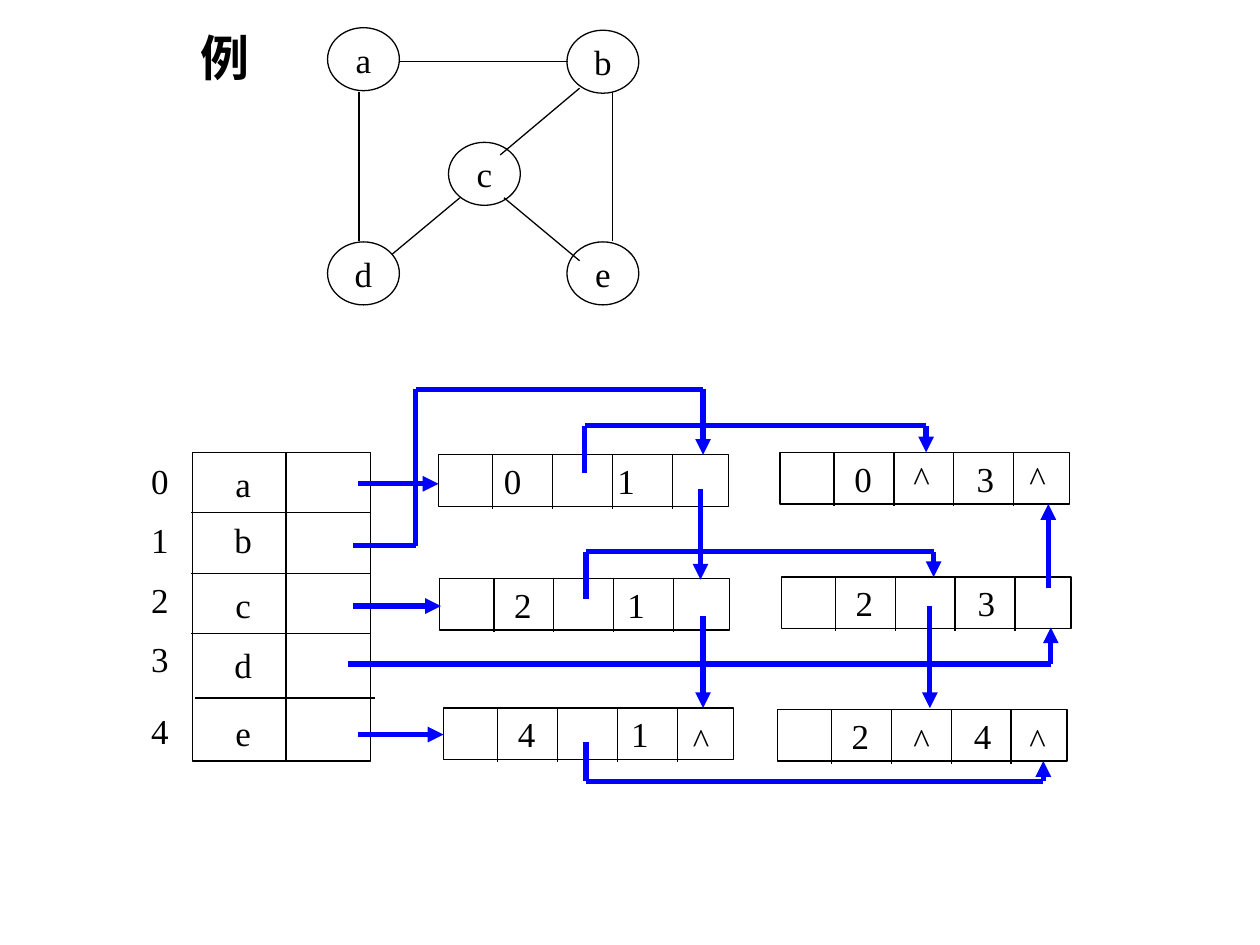
from dataclasses import dataclass
from itertools import pairwise

from lxml import etree
from pptx import Presentation
from pptx.dml.color import RGBColor
from pptx.enum import shapes, text
from pptx.oxml.ns import qn
from pptx.util import Inches, Pt


@dataclass(frozen=True)
class Theme:
    font: str = "Times New Roman"
    ink: RGBColor = RGBColor(0, 0, 0)
    link: RGBColor = RGBColor(0, 0, 255)
    head: int = 28
    body: int = 20
    thin: float = 0.75
    thick: float = 3


THEME = Theme()

# Graph: top left corner of each vertex, then the ends of each edge
RING = {"a": (2.6, 0.22), "b": (4.5, 0.24), "c": (3.56, 1.13),
        "d": (2.6, 1.92), "e": (4.5, 1.92)}
EDGES = [
    ((3.17, 0.49), (4.51, 0.49)),
    ((2.85, 0.73), (2.85, 1.91)),
    ((4.86, 0.73), (4.86, 1.91)),
    ((4, 1.57), (4.6, 2.07)),
    ((4.6, 0.7), (3.97, 1.23)),
    ((3.65, 1.57), (3.11, 2.02)),
]

# Vertex list: name, top of the index, top of the name
ROWS = [("a", 3.59, 3.62), ("b", 4.06, 4.06), ("c", 4.54, 4.58),
        ("d", 5.01, 5.05), ("e", 5.58, 5.59)]

# Edge nodes: left, top, the two vertex numbers, text inset, tab stop
NODES = [
    (3.48, 3.61, "0\t1", 0.52, 0.9),
    (6.19, 3.59, "0\t3", 0.59, 0.97),
    (6.2, 4.58, "2\t3", 0.59, 0.97),
    (3.49, 4.59, "2\t1", 0.59, 0.9),
    (6.17, 5.63, "2\t4", 0.59, 0.97),
    (3.52, 5.62, "4\t1", 0.59, 0.9),
]
ENDS = [(7.15, 3.57), (8.07, 3.57), (5.4, 5.65), (7.15, 5.65), (8.07, 5.65)]

# Pointers: corners of each path, with the arrowhead at its last point
PATHS = [
    [(2.84, 3.84), (3.48, 3.84)],
    [(2.8, 4.81), (3.5, 4.81)],
    [(2.84, 5.83), (3.52, 5.83)],
    [(4.64, 3.75), (4.64, 3.38), (7.35, 3.38), (7.35, 3.59)],
    [(2.8, 4.33), (3.3, 4.33), (3.3, 3.09), (5.58, 3.09), (5.58, 3.61)],
    [(5.56, 3.88), (5.56, 4.6)],
    [(5.58, 4.89), (5.58, 5.62)],
    [(4.65, 4.75), (4.65, 4.38), (7.41, 4.38), (7.41, 4.58)],
    [(7.38, 4.81), (7.38, 5.62)],
    [(2.76, 5.27), (8.34, 5.27), (8.34, 4.98)],
    [(8.32, 4.67), (8.32, 4)],
    [(4.65, 5.89), (4.65, 6.2), (8.28, 6.2), (8.28, 6.04)],
]


def write(shape, words, size=THEME.body, bold=False,
          align=text.PP_ALIGN.CENTER):
    frame = shape.text_frame
    frame.text = words
    frame.word_wrap = False
    frame.vertical_anchor = text.MSO_ANCHOR.MIDDLE
    para = frame.paragraphs[0]
    para.alignment = align
    for run in para.runs:
        run.font.name = THEME.font
        run.font.size = Pt(size)
        run.font.bold = bold
        run.font.color.rgb = THEME.ink
    return para


def title(slide, words, left, top, width, height):
    shape = slide.shapes.title
    shape.left, shape.top = Inches(left), Inches(top)
    shape.width, shape.height = Inches(width), Inches(height)
    write(shape, words, THEME.head, True)
    shape.text_frame.auto_size = text.MSO_AUTO_SIZE.NONE


def label(slide, words, left, top, width=0.34):
    box = slide.shapes.add_textbox(
        Inches(left), Inches(top), Inches(width), Inches(0.44))
    write(box, words)


def frame(slide, kind, left, top, width, height):
    shape = slide.shapes.add_shape(
        kind, Inches(left), Inches(top), Inches(width), Inches(height))
    shape.shadow.inherit = False
    shape.fill.background()
    shape.line.color.rgb = THEME.ink
    shape.line.width = Pt(THEME.thin)
    return shape


def line(slide, start, end, color=THEME.ink, width=THEME.thin, arrow=False):
    wire = slide.shapes.add_connector(
        shapes.MSO_CONNECTOR.STRAIGHT, *map(Inches, start + end))
    wire.line.color.rgb = color
    wire.line.width = Pt(width)
    props = wire.element.spPr
    if arrow:
        etree.SubElement(props.find(qn("a:ln")), qn("a:tailEnd"),
                         type="triangle")
    etree.SubElement(props, qn("a:effectLst"))


def path(slide, points):
    for start, end in pairwise(points):
        line(slide, start, end, THEME.link, THEME.thick, end == points[-1])


def node(slide, left, top, words, inset, stop):
    box = frame(slide, shapes.MSO_SHAPE.RECTANGLE, left, top, 2.3, 0.41)
    para = write(box, words, align=text.PP_ALIGN.LEFT)
    box.text_frame.margin_left = Inches(inset)
    tabs = etree.SubElement(para._p.get_or_add_pPr(), qn("a:tabLst"))
    etree.SubElement(tabs, qn("a:tab"), pos=str(Inches(stop)), algn="l")
    for i in range(4):
        x = left + 0.43 + i * 0.475
        line(slide, (x, top), (x, top + 0.43))


def graph(slide):
    for name, (left, top) in RING.items():
        write(frame(slide, shapes.MSO_SHAPE.OVAL, left, top, 0.57, 0.5), name)
    for start, end in EDGES:
        line(slide, start, end)


def table(slide):
    frame(slide, shapes.MSO_SHAPE.RECTANGLE, 1.53, 3.59, 1.41, 2.45)
    for y in (4.07, 4.55, 5.03):
        line(slide, (1.52, y), (2.94, y))
    line(slide, (1.55, 5.54), (2.98, 5.54))
    line(slide, (2.27, 3.59), (2.27, 6.04))
    for i, (name, top, drop) in enumerate(ROWS):
        label(slide, str(i), 1.1, top)
        label(slide, name, 1.76, drop)


def main():
    deck = Presentation()
    deck.slide_width, deck.slide_height = Inches(10), Inches(7.5)
    slide = deck.slides.add_slide(deck.slide_layouts[5])
    title(slide, "例", 1.49, 0.17, 0.59, 0.57)

    # Undirected graph
    graph(slide)

    # Multilist: vertex list, edge nodes, pointers, end marks
    table(slide)
    for item in NODES:
        node(slide, *item)
    for points in PATHS:
        path(slide, points)
    for left, top in ENDS:
        label(slide, "^", left, top, 0.33)

    deck.save("out.pptx")


if __name__ == "__main__":
    main()
